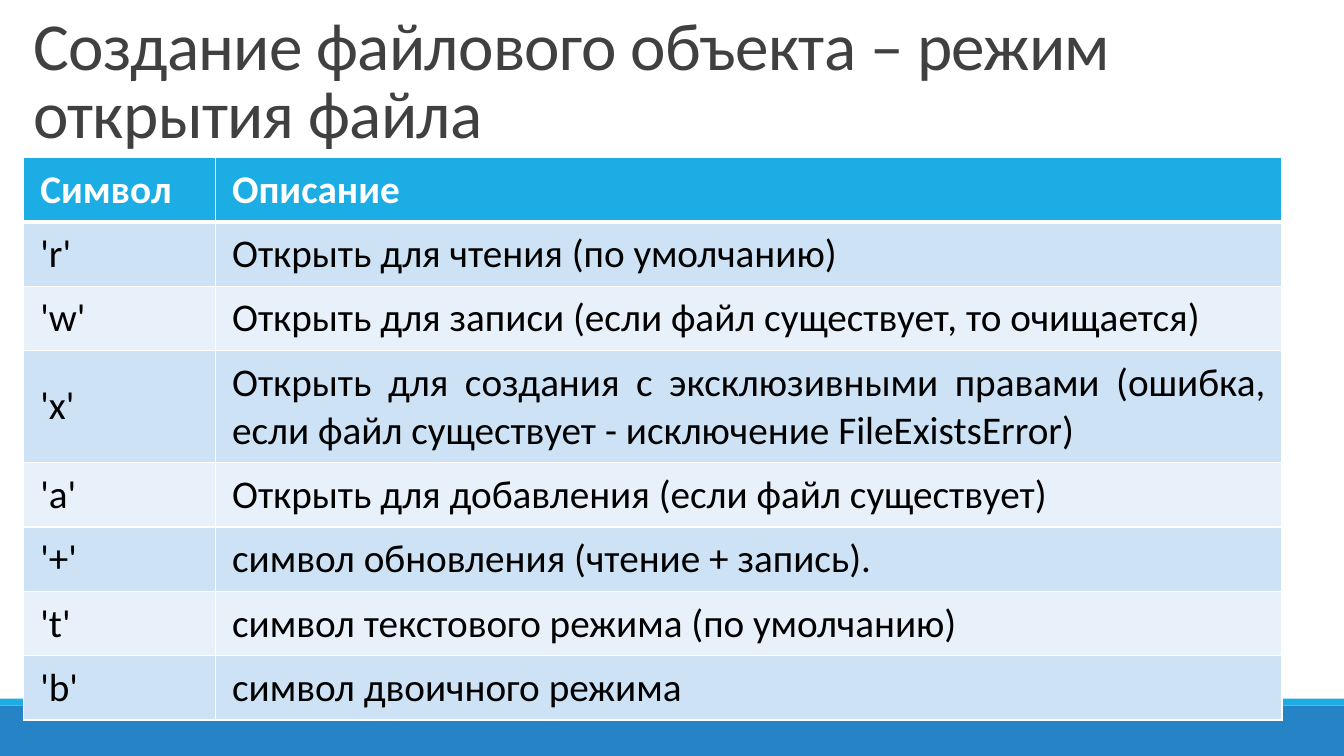
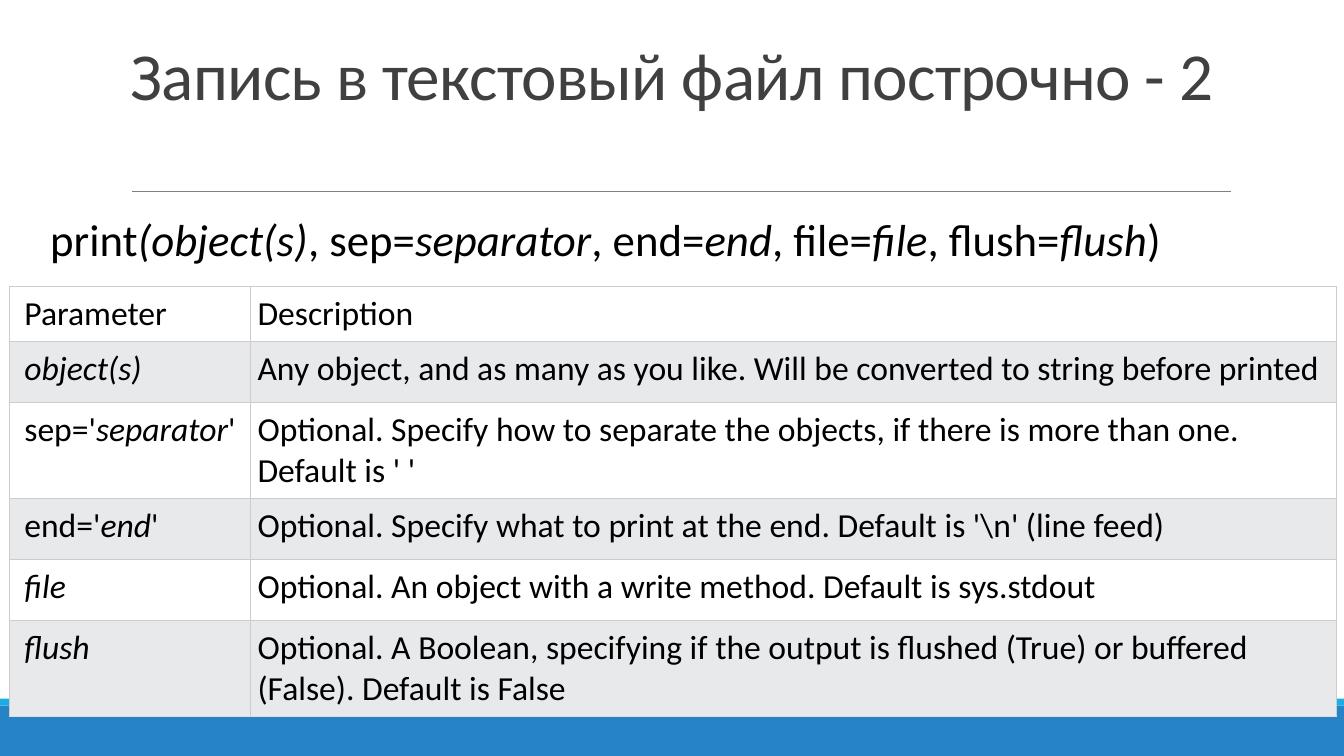
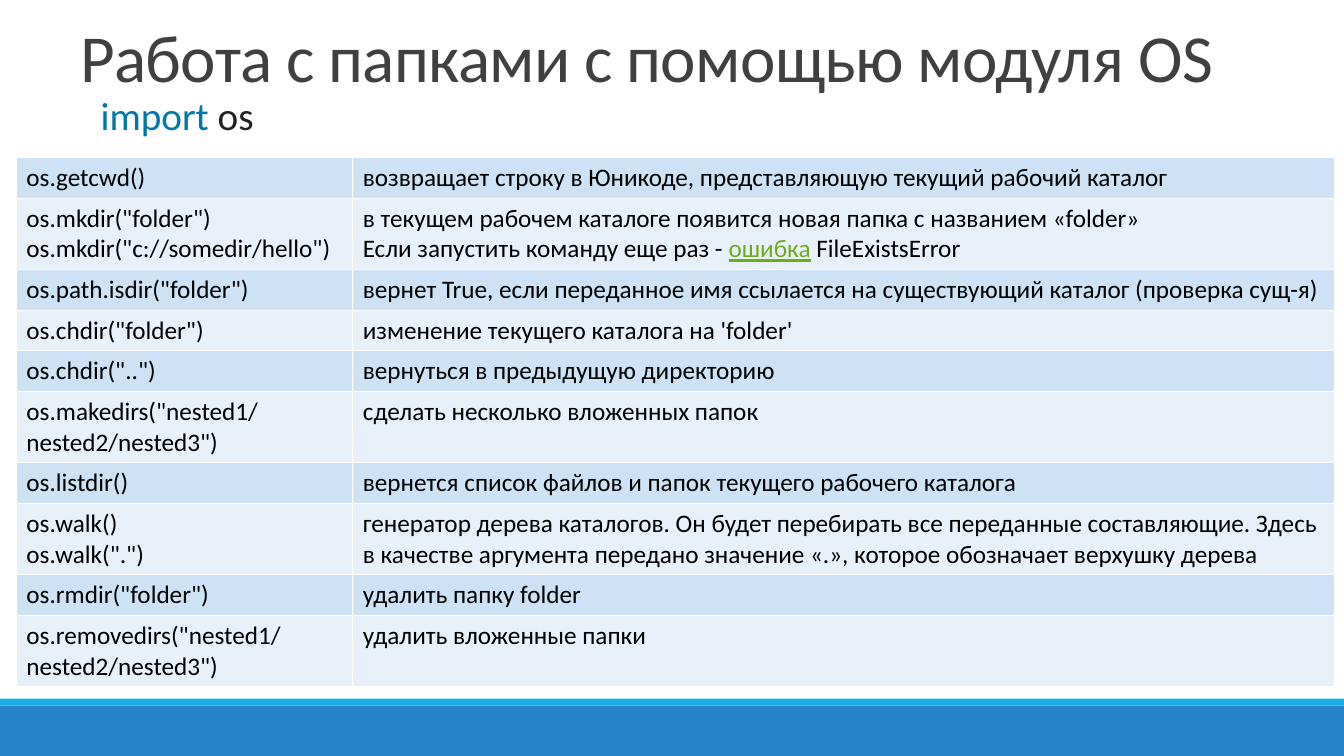
from dataclasses import dataclass, field

from lxml import etree
from pptx import Presentation
from pptx.dml.color import RGBColor
from pptx.enum.shapes import MSO_CONNECTOR as CONN, MSO_SHAPE as SHAPE
from pptx.enum.text import MSO_ANCHOR as ANCHOR, PP_ALIGN as ALIGN
from pptx.oxml.ns import qn
from pptx.util import Pt


@dataclass(frozen=True)
class Theme:
    font: str = "Calibri"
    width: float = 960
    height: float = 540
    white: str = "FFFFFF"
    black: str = "000000"
    title: str = "404040"
    band: str = "2683C6"
    accent: str = "1CADE4"
    rule: str = "808080"
    row_dark: str = "CDE3F5"
    row_light: str = "E8F1FA"
    row_grey: str = "E7E9EB"
    border: str = "CCCCCC"
    last_border: str = "DDDDDD"
    keyword: str = "0077AA"
    code: str = "222222"
    link: str = "6EAC1C"
    title_size: float = 48
    syntax_size: float = 32
    mode_size: float = 28
    param_size: float = 24
    func_size: float = 18


T = Theme()


@dataclass
class Run:
    text: str
    color: str = T.black
    bold: bool = False
    italic: bool = False
    underline: bool = False


@dataclass
class Grid:
    size: float
    fills: tuple
    border: tuple
    margins: tuple = ((7.2, 3.6, 7.2, 3.6),) * 2
    anchor: ANCHOR = ANCHOR.TOP
    align: ALIGN = ALIGN.LEFT
    header: str = ""
    edges: dict = field(default_factory=dict)


def rgb(value):
    return RGBColor.from_string(value)


def it(text):
    return Run(text, italic=True)


def add_runs(p, runs, size):
    for item in [runs] if isinstance(runs, (str, Run)) else runs:
        run = Run(item) if isinstance(item, str) else item
        r = p.add_run()
        r.text = run.text
        f = r.font
        f.name, f.size, f.color.rgb = T.font, Pt(size), rgb(run.color)
        f.bold, f.italic, f.underline = run.bold, run.italic, run.underline


def add_text(slide, box, runs, size, wrap=True, anchor=ANCHOR.TOP):
    tf = slide.shapes.add_textbox(*map(Pt, box)).text_frame
    tf.word_wrap, tf.vertical_anchor = wrap, anchor
    p = tf.paragraphs[0]
    add_runs(p, runs, size)
    return p


def add_title(slide, box, text):
    p = add_text(slide, box, Run(text, T.title), T.title_size,
                 anchor=ANCHOR.BOTTOM)
    p.line_spacing = 0.85
    for r in p.runs:
        r.font._element.set("spc", "-50")


def add_bands(slide):
    for top, height, color in ((504, 36, T.band), (499, 5, T.accent)):
        sp = slide.shapes.add_shape(SHAPE.RECTANGLE, 0, Pt(top),
                                    Pt(T.width), Pt(height))
        sp.shadow.inherit = False
        sp.fill.solid()
        sp.fill.fore_color.rgb = rgb(color)
        sp.line.fill.background()


def add_rule(slide, left, right, top):
    ln = slide.shapes.add_connector(CONN.STRAIGHT, Pt(left), Pt(top),
                                    Pt(right), Pt(top))
    ln.line.color.rgb = rgb(T.rule)
    ln.line.width = Pt(0.5)
    etree.SubElement(ln._element.spPr, qn("a:effectLst"))


def set_borders(cell, row, grid):
    tc_pr = cell._tc.get_or_add_tcPr()
    for i, side in enumerate("LRTB"):
        color, width = grid.edges.get((row, side), grid.border)
        ln = etree.Element(qn("a:ln" + side), w=str(Pt(width)))
        fill = etree.SubElement(ln, qn("a:solidFill"))
        etree.SubElement(fill, qn("a:srgbClr"), val=color)
        tc_pr.insert(i, ln)


def fill_cell(cell, content, row, col, grid):
    margins = map(Pt, grid.margins[col])
    (cell.margin_left, cell.margin_top,
     cell.margin_right, cell.margin_bottom) = margins
    cell.vertical_anchor = grid.anchor
    is_header = row == 0 and grid.header
    cell.fill.solid()
    cell.fill.fore_color.rgb = rgb(
        grid.header if is_header else grid.fills[row % 2])
    set_borders(cell, row, grid)
    if is_header:
        content = Run(content, T.white, bold=True)
    tf = cell.text_frame
    for i, runs in enumerate(content if isinstance(content, list) else [content]):
        p = tf.add_paragraph() if i else tf.paragraphs[0]
        p.alignment = grid.align
        add_runs(p, runs, grid.size)


def add_grid(slide, left, top, widths, heights, rows, grid):
    table = slide.shapes.add_table(
        len(rows), len(widths), Pt(left), Pt(top),
        Pt(sum(widths)), Pt(sum(heights))).table
    table.first_row = table.horz_banding = False
    for col, width in zip(table.columns, widths):
        col.width = Pt(width)
    for i, (height, row) in enumerate(zip(heights, rows)):
        table.rows[i].height = Pt(height)
        for j, content in enumerate(row):
            fill_cell(table.cell(i, j), content, i, j, grid)


MODES = (
    ("Символ", "Описание"),
    ("'r'", "Открыть для чтения (по умолчанию)"),
    ("'w'", "Открыть для записи (если файл существует, то очищается)"),
    ("'x'", "Открыть для создания с эксклюзивными правами (ошибка, "
            "если файл существует - исключение FileExistsError)"),
    ("'a'", "Открыть для добавления (если файл существует)"),
    ("'+'", "символ обновления (чтение + запись)."),
    ("'t'", "символ текстового режима (по умолчанию)"),
    ("'b'", "символ двоичного режима"),
)

SYNTAX = ("print", it("(object(s)"), ", sep=", it("separator"), ", end=",
          it("end"), ", file=", it("file"), ", flush=", it("flush"), ")")

PARAMS = (
    ("Parameter", "Description"),
    (it("object(s)"), "Any object, and as many as you like. "
                      "Will be converted to string before printed"),
    (("sep='", it("separator"), "'"),
     "Optional. Specify how to separate the objects, "
     "if there is more than one. Default is ' '"),
    (("end='", it("end"), "'"),
     r"Optional. Specify what to print at the end. Default is '\n' (line feed)"),
    (it("file"),
     "Optional. An object with a write method. Default is sys.stdout"),
    (it("flush"),
     "Optional. A Boolean, specifying if the output is flushed (True) "
     "or buffered (False). Default is False"),
)

FUNCS = (
    ("os.getcwd()",
     "возвращает строку в Юникоде, представляющую текущий рабочий каталог"),
    (['os.mkdir("folder")', 'os.mkdir("c://somedir/hello")'],
     ["в текущем рабочем каталоге появится новая папка с названием «folder»",
      ("Если запустить команду еще раз - ",
       Run("ошибка", T.link, underline=True), " FileExistsError")]),
    ('os.path.isdir("folder")',
     "вернет True, если переданное имя ссылается на существующий каталог "
     "(проверка сущ-я)"),
    ('os.chdir("folder")', "изменение текущего каталога на 'folder'"),
    ('os.chdir("..")', "вернуться в предыдущую директорию"),
    ('os.makedirs("nested1/nested2/nested3")',
     "сделать несколько вложенных папок"),
    ("os.listdir()",
     "вернется список файлов и папок текущего рабочего каталога"),
    (["os.walk()", 'os.walk(".")'],
     "генератор дерева каталогов. Он будет перебирать все переданные "
     "составляющие. Здесь в качестве аргумента передано значение «.», "
     "которое обозначает верхушку дерева"),
    ('os.rmdir("folder")', "удалить папку folder"),
    ('os.removedirs("nested1/nested2/nested3")', "удалить вложенные папки"),
)


def modes_slide(slide):
    add_title(slide, (16.8, 0, 912, 112.3),
              "Создание файлового объекта – режим открытия файла")
    thick = (T.white, 3)
    grid = Grid(T.mode_size, (T.row_light, T.row_dark), (T.white, 1),
                margins=((12, 6, 12, 6),) * 2, anchor=ANCHOR.MIDDLE,
                align=ALIGN.JUSTIFY, header=T.accent,
                edges={(0, "B"): thick, (1, "T"): thick})
    heights = [80 if i == 3 else 46 for i in range(len(MODES))]
    add_grid(slide, 16.8, 112.5, (137, 762), heights, MODES, grid)


def params_slide(slide):
    add_rule(slide, 94.3, 879, 136.8)
    add_title(slide, (86.4, 22.3, 792, 62.6),
              "Запись в текстовый файл построчно - 2")
    add_text(slide, (28.8, 147.6, 878.4, 46), SYNTAX, T.syntax_size)
    grid = Grid(T.param_size, (T.white, T.row_grey), (T.border, 0.75),
                margins=((10.8, 5, 5.4, 5), (5.4, 5, 5.4, 5)),
                edges={(len(PARAMS) - 1, "B"): (T.last_border, 0.75)})
    add_grid(slide, 6.6, 204.7, (172, 776), (39, 44, 68.6, 43.6, 43.6, 68.6),
             PARAMS, grid)


def funcs_slide(slide):
    add_title(slide, (50.4, 10, 834.5, 62),
              "Работа с папками с помощью модуля OS")
    add_text(slide, (64.8, 62, 125.3, 41),
             (Run("import ", T.keyword), Run("os", T.code)),
             T.mode_size, wrap=False)
    grid = Grid(T.func_size, (T.row_dark, T.row_light), (T.white, 1))
    heights = [51 if i in (1, 5, 7, 9) else 29 for i in range(len(FUNCS))]
    add_grid(slide, 11.7, 112.5, (240.3, 701.3), heights, FUNCS, grid)


def main():
    prs = Presentation()
    prs.slide_width, prs.slide_height = Pt(T.width), Pt(T.height)
    for build in (modes_slide, params_slide, funcs_slide):
        slide = prs.slides.add_slide(prs.slide_layouts[6])
        add_bands(slide)
        build(slide)
    prs.save("out.pptx")


if __name__ == "__main__":
    main()
